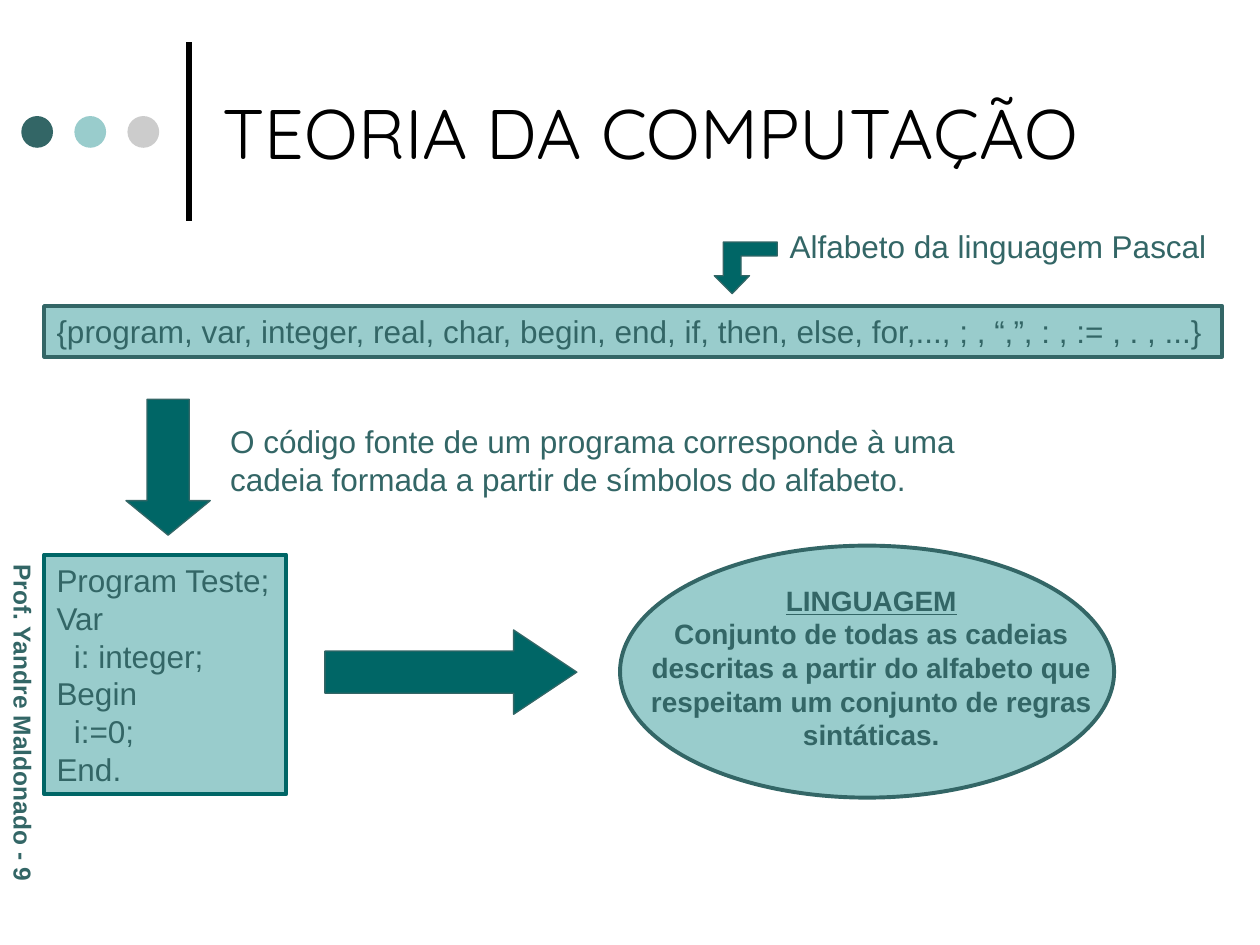
from lxml.etree import SubElement
from pptx import Presentation
from pptx.dml.color import RGBColor
from pptx.enum.shapes import MSO_CONNECTOR, MSO_SHAPE
from pptx.enum.text import MSO_ANCHOR, MSO_AUTO_SIZE, PP_ALIGN
from pptx.oxml.ns import qn
from pptx.util import Cm, Pt

COLORS = {
    "black": "000000",
    "slate": "336666",
    "teal": "006666",
    "aqua": "99CCCC",
    "gray": "CCCCCC",
}
BODY = {"name": "Arial", "size": Pt(18), "bold": False}
STRONG = {"name": "Arial", "size": Pt(16), "bold": True}
HEADING = {**STRONG, "underline": True}
FOOTER = {**STRONG, "size": Pt(14)}
TITLE = {"name": "Quicksand", "size": Pt(40), "bold": False}

CODE = [("Program Teste;", 0), ("Var", 0), ("i: integer;", 1),
        ("Begin", 0), ("i:=0;", 1), ("End.", 0)]
BENT_ARROW = [(15.67, 5.16), (14.94, 5.16), (14.94, 5.56), (15.11, 5.56),
              (14.76, 5.92), (14.4, 5.56), (14.58, 5.56), (14.58, 4.88),
              (15.67, 4.88)]


def color(name):
    return RGBColor.from_string(COLORS[name])


def lengths(*values):
    return [Cm(value) for value in values]


def paint(shape, fill, line=None, width=0.75):
    shape.shadow.inherit = False
    shape.fill.solid()
    shape.fill.fore_color.rgb = color(fill)
    if line:
        shape.line.color.rgb = color(line)
        shape.line.width = Pt(width)
    else:
        shape.line.fill.background()


def add_figure(page, kind, place, fill, line=None, width=0.75):
    shape = page.shapes.add_shape(kind, *lengths(*place))
    paint(shape, fill, line, width)
    return shape


def write(shape, lines, align=PP_ALIGN.LEFT, anchor=MSO_ANCHOR.TOP,
          wrap=True, ink="slate"):
    """Fill the shape with lines of (text, format, indent level)."""
    frame = shape.text_frame
    settings = {
        "word_wrap": wrap, "auto_size": MSO_AUTO_SIZE.NONE,
        "vertical_anchor": anchor,
        "margin_left": Cm(0.25), "margin_right": Cm(0.25),
        "margin_top": Cm(0.13), "margin_bottom": Cm(0.13),
    }
    for name, value in settings.items():
        setattr(frame, name, value)
    for index, (text, style, level) in enumerate(lines):
        para = frame.add_paragraph() if index else frame.paragraphs[0]
        para.alignment = align
        if level:
            para._p.get_or_add_pPr().set("marL", str(Cm(0.35) * level))
        span = para.add_run()
        span.text = text
        span.font.color.rgb = color(ink)
        for name, value in style.items():
            setattr(span.font, name, value)


def add_text(page, place, lines, **options):
    box = page.shapes.add_textbox(*lengths(*place))
    write(box, lines, **options)
    return box


def add_heading(page):
    rule = page.shapes.add_connector(
        MSO_CONNECTOR.STRAIGHT, *lengths(3.81, 4.45, 3.81, 0.84))
    rule.line.color.rgb = color("black")
    rule.line.width = Pt(3)
    SubElement(rule._element.spPr, qn("a:effectLst"))
    for index, fill in enumerate(("slate", "aqua", "gray")):
        add_figure(page, MSO_SHAPE.OVAL,
                   (0.43 + 1.07 * index, 2.34, 0.64, 0.64), fill)
    title = page.shapes.title
    title.left, title.top, title.width, title.height = lengths(
        4.24, 0.53, 19.48, 4.24)
    write(title, [("TEORIA DA COMPUTAÇÃO", TITLE, 0)],
          anchor=MSO_ANCHOR.MIDDLE, ink="black")


def add_alphabet(page):
    bar = add_figure(page, MSO_SHAPE.RECTANGLE, (0.89, 6.17, 23.75, 1.02),
                     "aqua", "slate", 2.25)
    write(bar, [("{program, var, integer, real, char, begin, end, if, then, "
                 "else, for,..., ; , “,”, : , := , . , ...}", BODY, 0)],
          wrap=False)
    add_text(page, (15.67, 4.45, 8.92, 1.02),
             [("Alfabeto da linguagem Pascal", BODY, 0)], wrap=False)
    start, *corners = [lengths(*point) for point in BENT_ARROW]
    builder = page.shapes.build_freeform(*start)
    builder.add_line_segments(corners, close=True)
    paint(builder.convert_to_shape(), "teal", "slate")


def add_program(page):
    listing = add_figure(page, MSO_SHAPE.RECTANGLE, (0.89, 11.18, 4.88, 4.83),
                         "aqua", "teal", 2.25)
    write(listing, [(text, BODY, level) for text, level in CODE], wrap=False)
    add_text(page, (4.39, 8.38, 15.49, 1.78),
             [("O código fonte de um programa corresponde à uma cadeia "
               "formada a partir de símbolos do alfabeto.", BODY, 0)])
    arrow = add_figure(page, MSO_SHAPE.DOWN_ARROW, (2.54, 8.05, 1.7, 2.74),
                       "teal", "slate")
    arrow.adjustments[1] = 0.41


def add_language(page):
    arrow = add_figure(page, MSO_SHAPE.RIGHT_ARROW, (6.55, 12.7, 5.08, 1.7),
                       "teal", "slate")
    arrow.adjustments[1] = 0.75
    add_figure(page, MSO_SHAPE.OVAL, (12.5, 11, 9.96, 5.08),
               "aqua", "slate", 2.25)
    add_text(page, (12.7, 11.63, 9.73, 3.66),
             [("LINGUAGEM", HEADING, 0),
              ("Conjunto de todas as cadeias descritas a partir do alfabeto "
               "que respeitam um conjunto de regras sintáticas.", STRONG, 0)],
             align=PP_ALIGN.CENTER)


def main():
    deck = Presentation()
    deck.slide_width, deck.slide_height = lengths(25.4, 19.05)
    page = deck.slides.add_slide(deck.slide_layouts.get_by_name("Title Only"))
    add_heading(page)
    add_alphabet(page)
    add_program(page)
    add_language(page)
    footer = add_text(page, (-3.43, 14.6, 7.8, 0.86),
                      [("Prof. Yandre Maldonado - 9", FOOTER, 0)])
    footer.rotation = 90
    deck.save("out.pptx")


if __name__ == "__main__":
    main()
